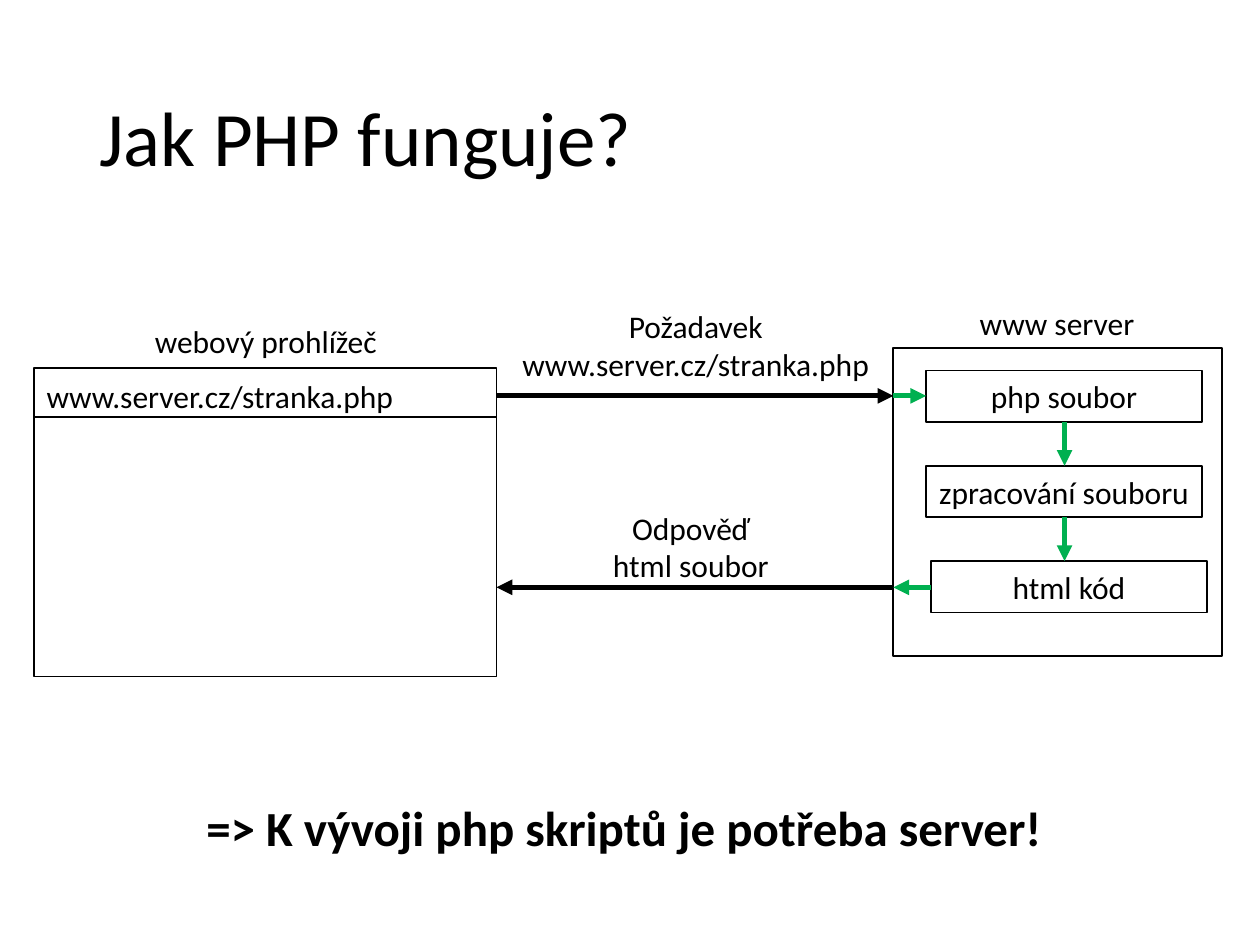
from lxml.etree import SubElement as Sub
from pptx import Presentation
from pptx.dml.color import RGBColor
from pptx.enum.shapes import MSO_CONNECTOR as Conn, MSO_SHAPE as Form
from pptx.enum.text import MSO_ANCHOR as Anchor, PP_ALIGN as Align
from pptx.oxml.ns import qn
from pptx.util import Cm, Pt

BLACK = RGBColor(0x00, 0x00, 0x00)
GREEN = RGBColor(0x00, 0xB0, 0x50)
BASE = {"name": "Calibri", "size": Pt(18), "bold": False}


def write(frame, text, align, anchor, **extra):
    frame.text = text
    frame.vertical_anchor = anchor
    for para in frame.paragraphs:
        para.alignment = align
        for run in para.runs:
            for key, val in {**BASE, **extra}.items():
                setattr(run.font, key, val)
            run.font.color.rgb = BLACK


def arrow(x1, y1, x2, y2, color):
    line = slide.shapes.add_connector(
        Conn.STRAIGHT, Cm(x1), Cm(y1), Cm(x2), Cm(y2))
    line.line.color.rgb = color
    line.line.width = Pt(3)
    Sub(line.line._get_or_add_ln(), qn("a:tailEnd"), type="triangle")
    Sub(line._element.spPr, qn("a:effectLst"))


prs = Presentation()
prs.slide_width, prs.slide_height = Cm(25.4), Cm(19.05)
slide = prs.slides.add_slide(prs.slide_layouts[5])

# Title
title = slide.shapes.title
place = {"left": 1.75, "top": 1.02, "width": 21.9, "height": 3.68}
for key, val in place.items():
    setattr(title, key, Cm(val))
write(title.text_frame, "Jak PHP funguje?", Align.LEFT, Anchor.MIDDLE,
      size=Pt(44))
title.text_frame.paragraphs[0].line_spacing = 0.9

# Browser window, server and its three steps
left, right, mid = 10.01, 18.01, 21.46
top, step, high = 7.47, 1.92, 1.04
boxes = [
    ("", 0.69, 8.41, 9.32, 5.23),
    ("", 0.69, 7.42, 9.32, 0.99),
    ("", right, 7.01, 6.63, 6.22),
]
steps = [("php soubor", 18.67), ("zpracování souboru", 18.67),
         ("html kód", 18.77)]
for i, (text, x) in enumerate(steps):
    boxes.append((text, x, top + i * step, 5.56, high))
for text, x, y, w, h in boxes:
    box = slide.shapes.add_shape(Form.RECTANGLE, Cm(x), Cm(y), Cm(w), Cm(h))
    box.shadow.inherit = False
    box.fill.background()
    box.line.color.rgb = BLACK
    box.line.width = Pt(1)
    if text:
        box.text_frame.word_wrap = False
        write(box.text_frame, text, Align.CENTER, Anchor.MIDDLE)

# Request and reply
ask, reply = 7.98, 11.84
arrow(left, ask, right, ask, BLACK)
arrow(right, reply, left, reply, BLACK)

# Flow inside the server
arrow(right, ask, 18.67, ask, GREEN)
for i in range(2):
    y = top + i * step
    arrow(mid, y + high, mid, y + step, GREEN)
arrow(18.77, reply, right, reply, GREEN)

# Labels
labels = [
    ("www.server.cz/stranka.php", 0.69, 7.47, 7.57, 1.02,
     Align.LEFT, Anchor.TOP, {}),
    ("www server", 18.67, 5.99, 5.28, 1.04, Align.CENTER, Anchor.MIDDLE, {}),
    ("webový prohlížeč", 2.72, 6.35, 5.28, 1.04,
     Align.CENTER, Anchor.MIDDLE, {}),
    ("Požadavek\nwww.server.cz/stranka.php", 10.24, 6.07, 7.57, 1.8,
     Align.CENTER, Anchor.TOP, {}),
    ("Odpověď\nhtml soubor", 12.09, 10.13, 3.68, 1.8,
     Align.CENTER, Anchor.TOP, {}),
    ("=> K vývoji php skriptů je potřeba server!", 3.91, 15.95, 17.55, 1.45,
     Align.LEFT, Anchor.TOP, {"size": Pt(28), "bold": True}),
]
for text, x, y, w, h, align, anchor, extra in labels:
    label = slide.shapes.add_textbox(Cm(x), Cm(y), Cm(w), Cm(h))
    label.text_frame.word_wrap = False
    write(label.text_frame, text, align, anchor, **extra)

prs.save("out.pptx")
